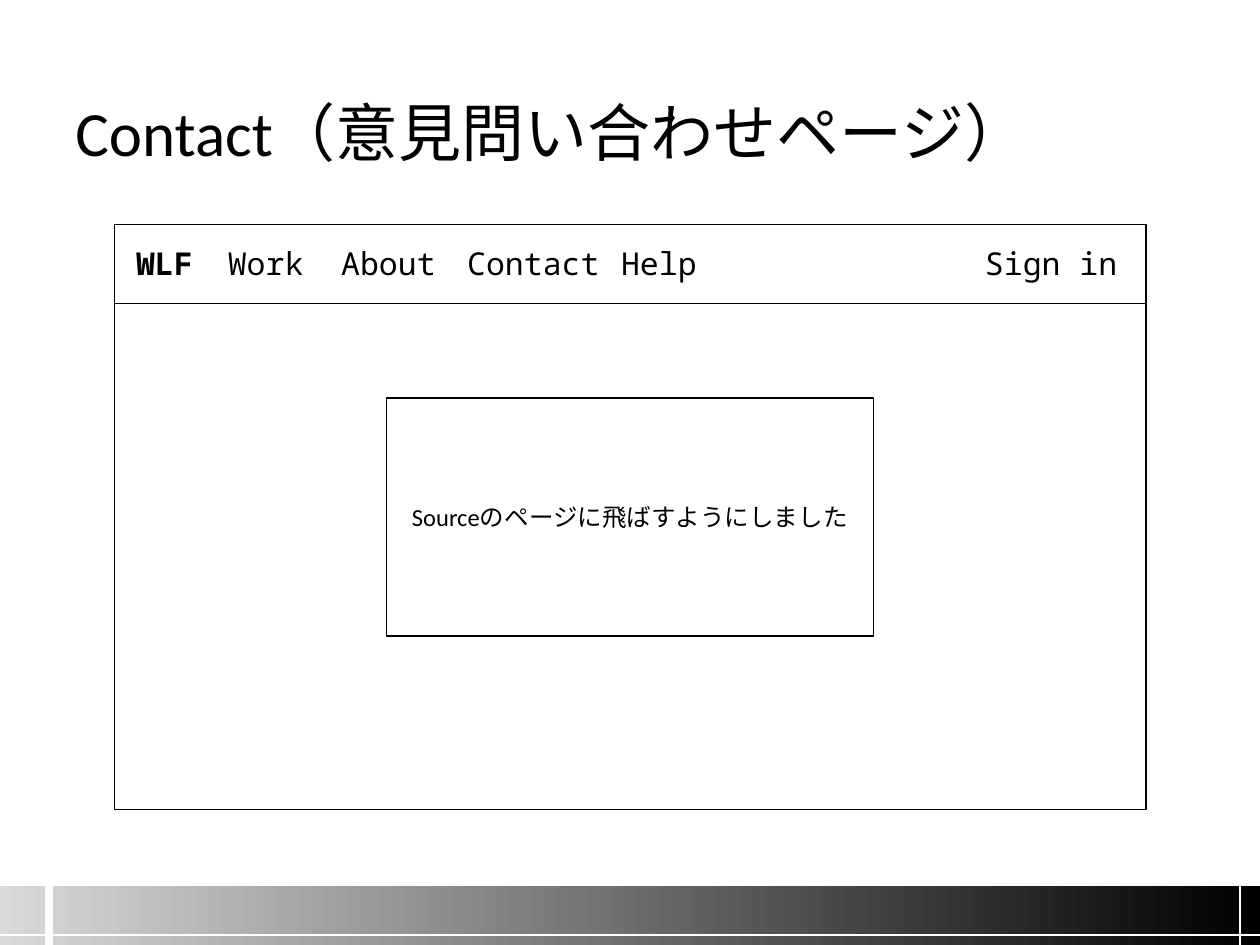
from dataclasses import dataclass

from lxml.etree import SubElement
from pptx import Presentation
from pptx.dml.color import RGBColor
from pptx.enum.shapes import MSO_CONNECTOR, MSO_SHAPE
from pptx.enum.text import MSO_ANCHOR, MSO_AUTO_SIZE, PP_ALIGN
from pptx.oxml.ns import qn
from pptx.shapes.autoshape import Shape
from pptx.slide import Slide
from pptx.util import Pt

BLACK = RGBColor(0x00, 0x00, 0x00)
WHITE = RGBColor(0xFF, 0xFF, 0xFF)
SILVER = RGBColor(0xD9, 0xD9, 0xD9)
BODY_FONT = "Calibri"
NAV_FONT = "Noto Sans Mono"
SLIDE_WIDTH, SLIDE_HEIGHT = 720, 540
FOOTER_TOP = 506.2
NAV_TOP, NAV_HEIGHT = 136.1, 29


@dataclass(frozen=True)
class Box:
    left: float
    top: float
    width: float
    height: float


@dataclass(frozen=True)
class NavItem:
    label: str
    left: float
    width: float
    bold: bool = False
    align: PP_ALIGN = PP_ALIGN.LEFT


@dataclass(frozen=True)
class Rule:
    x1: float
    y1: float
    x2: float
    y2: float
    weight: float


TITLE = Box(36, 21.6, 648, 78.5)
BROWSER = Box(65.4, 128.3, 589.4, 334.4)
NAV_BAR = Box(BROWSER.left, BROWSER.top, BROWSER.width, 45.2)
MESSAGE = Box(221, 227.5, 278, 136)

NAV_ITEMS = (
    NavItem("WLF", 68.4, 51.1, True, PP_ALIGN.CENTER),
    NavItem("Work", 123.1, 61.2),
    NavItem("About", 187.9, 69.1),
    NavItem("Contact", 259.9, 91.4),
    NavItem("Help", 347.8, 58.3),
    NavItem("Sign in", 555.8, 91.4),
)

FOOTER_RULES = (
    Rule(708.5, FOOTER_TOP, 708.5, SLIDE_HEIGHT, 1.25),
    Rule(0, 534.4, SLIDE_WIDTH, 534.4, 1.25),
    Rule(28, 495.4, 28, SLIDE_HEIGHT, 5),
)


def add_rectangle(slide: Slide, box: Box) -> Shape:
    """Add a white rectangle with a thin black outline."""
    rectangle = slide.shapes.add_shape(
        MSO_SHAPE.RECTANGLE, Pt(box.left), Pt(box.top), Pt(box.width), Pt(box.height)
    )
    rectangle.shadow.inherit = False
    rectangle.fill.solid()
    rectangle.fill.fore_color.rgb = WHITE
    rectangle.line.color.rgb = BLACK
    rectangle.line.width = Pt(0.75)
    return rectangle


def add_text_box(slide: Slide, box: Box) -> Shape:
    """Add an empty text box."""
    return slide.shapes.add_textbox(
        Pt(box.left), Pt(box.top), Pt(box.width), Pt(box.height)
    )


def write(holder: Shape, text: str, size: float, font_name: str, anchor: MSO_ANCHOR,
          align: PP_ALIGN = PP_ALIGN.LEFT, bold: bool = False, wrap: bool = True) -> None:
    """Write one black paragraph into a shape."""
    frame = holder.text_frame
    frame.word_wrap = wrap
    frame.vertical_anchor = anchor
    paragraph = frame.paragraphs[0]
    paragraph.text = text
    paragraph.alignment = align
    paragraph.font.name = font_name
    paragraph.font.size = Pt(size)
    paragraph.font.bold = bold
    paragraph.font.color.rgb = BLACK


def add_rule(slide: Slide, rule: Rule) -> None:
    """Draw a white straight line without a shadow."""
    line = slide.shapes.add_connector(
        MSO_CONNECTOR.STRAIGHT, Pt(rule.x1), Pt(rule.y1), Pt(rule.x2), Pt(rule.y2)
    )
    line.line.color.rgb = WHITE
    line.line.width = Pt(rule.weight)
    SubElement(line._element.spPr, qn("a:effectLst"))


def add_footer(slide: Slide) -> None:
    """Draw the gradient band and its white rules."""
    band = add_rectangle(
        slide, Box(0, FOOTER_TOP, SLIDE_WIDTH, SLIDE_HEIGHT - FOOTER_TOP)
    )
    band.line.fill.background()
    band.fill.gradient()
    band.fill.gradient_angle = 180
    for stop, color, position in zip(band.fill.gradient_stops, (BLACK, SILVER), (0, 1)):
        stop.color.rgb = color
        stop.position = position
    for rule in FOOTER_RULES:
        add_rule(slide, rule)


def add_nav_item(slide: Slide, item: NavItem) -> None:
    """Add one entry of the navigation bar."""
    entry = add_text_box(slide, Box(item.left, NAV_TOP, item.width, NAV_HEIGHT))
    write(entry, item.label, 18, NAV_FONT, MSO_ANCHOR.TOP, item.align, item.bold, False)
    entry.text_frame.auto_size = MSO_AUTO_SIZE.SHAPE_TO_FIT_TEXT


def main() -> None:
    """Build the contact page slide and save it."""
    presentation = Presentation()
    presentation.slide_width = Pt(SLIDE_WIDTH)
    presentation.slide_height = Pt(SLIDE_HEIGHT)
    slide = presentation.slides.add_slide(presentation.slide_layouts[6])

    add_footer(slide)
    add_rectangle(slide, BROWSER)
    add_rectangle(slide, NAV_BAR)
    for item in NAV_ITEMS:
        add_nav_item(slide, item)
    write(add_text_box(slide, TITLE), "Contact（意見問い合わせページ）", 36, BODY_FONT,
          MSO_ANCHOR.BOTTOM)
    write(add_rectangle(slide, MESSAGE), "Sourceのページに飛ばすようにしました", 14,
          BODY_FONT, MSO_ANCHOR.MIDDLE, PP_ALIGN.CENTER)
    presentation.save("out.pptx")


if __name__ == "__main__":
    main()
